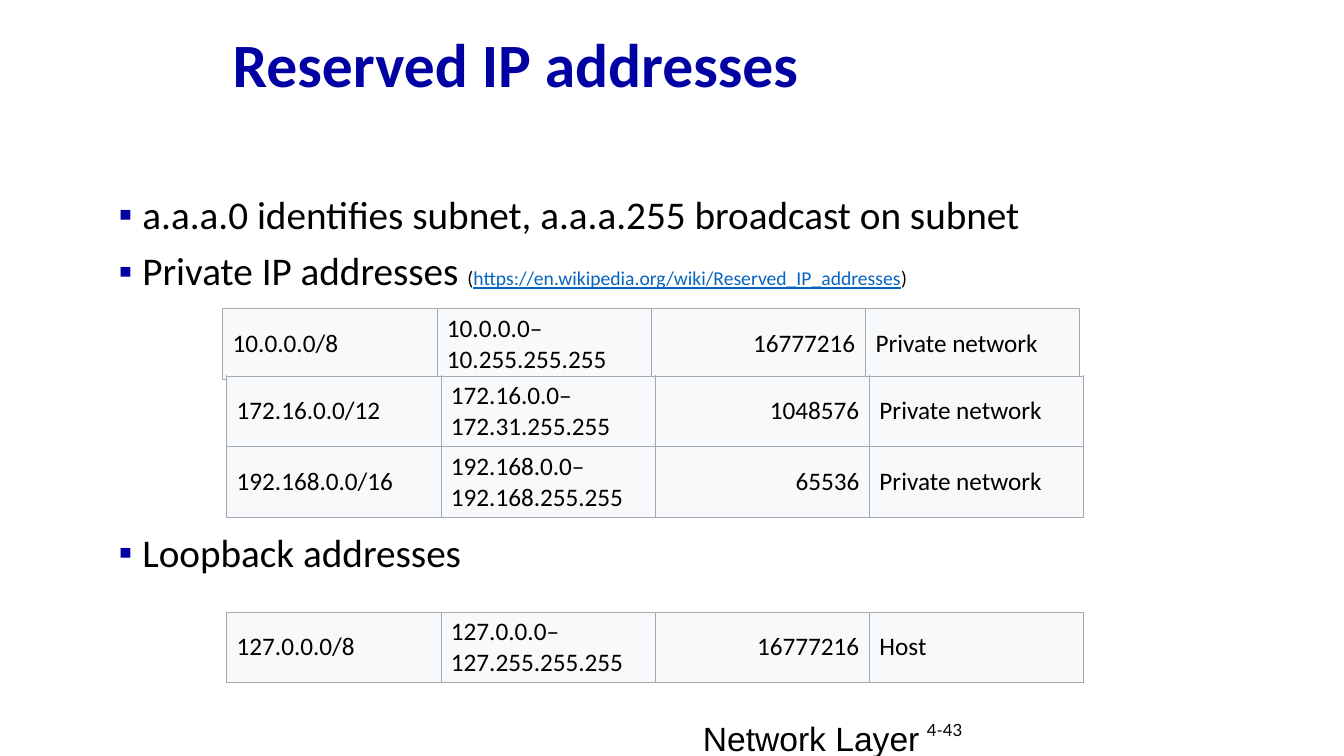
import pptx
import pptx.dml.color
import pptx.enum.text
import pptx.oxml
import pptx.oxml.ns
import pptx.util
from pptx.util import Cm

RGBColor = pptx.dml.color.RGBColor
NAVY = RGBColor(0x00, 0x00, 0xA3)
BLACK = RGBColor(0x00, 0x00, 0x00)
LINK_BLUE = RGBColor(0x05, 0x63, 0xC1)
CELL_GREY = RGBColor(0xF8, 0xF9, 0xFA)
BORDER_GREY = RGBColor(0xA2, 0xA9, 0xB1)

ALIGN = pptx.enum.text.PP_ALIGN
ANCHOR = pptx.enum.text.MSO_ANCHOR
TITLE_ONLY = 5
COLUMN_WIDTH = Cm(5.4)
ROW_HEIGHT = Cm(1.78)

# left and top in centimetres, then the cells of the row
ADDRESS_ROWS = [
    (5.61, 7.77, ("10.0.0.0/8", "10.0.0.0–10.255.255.255", "16777216", "Private network")),
    (5.71, 9.47, ("172.16.0.0/12", "172.16.0.0–172.31.255.255", "1048576", "Private network")),
    (5.71, 11.25, ("192.168.0.0/16", "192.168.0.0–192.168.255.255", "65536", "Private network")),
    (5.71, 15.42, ("127.0.0.0/8", "127.0.0.0–127.255.255.255", "16777216", "Host")),
]


def write_text(paragraph, text, size=18, font="Calibri", color=BLACK,
               bold=False, underline=False, align=ALIGN.LEFT):
    """Add one formatted run to the paragraph."""
    paragraph.alignment = align
    run = paragraph.add_run()
    run.text = text
    run.font.name = font
    run.font.size = pptx.util.Pt(size)
    run.font.bold = bold
    run.font.underline = underline
    run.font.color.rgb = color


def parse_drawing_xml(tag, content):
    namespace = pptx.oxml.ns.nsdecls("a")
    return pptx.oxml.parse_xml(f"<a:{tag} {namespace}>{content}</a:{tag}>")


def add_text_frame(slide, left, top, width, height):
    box = slide.shapes.add_textbox(Cm(left), Cm(top), Cm(width), Cm(height))
    box.text_frame.word_wrap = True
    return box.text_frame


def format_bullet(paragraph, space_before):
    properties = paragraph._p.get_or_add_pPr()
    properties.set("marL", str(Cm(1)))
    properties.set("indent", str(-Cm(0.6)))
    bullet = parse_drawing_xml(
        "pPr",
        f'<a:buClr><a:srgbClr val="{NAVY}"/></a:buClr>'
        '<a:buFont typeface="Arial"/><a:buChar char="▪"/>')
    properties.extend(list(bullet))
    paragraph.line_spacing = 0.9
    paragraph.space_before = pptx.util.Pt(space_before)


def set_title(slide, text):
    title = slide.shapes.title
    title.left, title.top = Cm(5.61), Cm(0.53)
    title.width, title.height = Cm(21.59), Cm(2.36)
    title.text_frame.vertical_anchor = ANCHOR.MIDDLE
    paragraph = title.text_frame.paragraphs[0]
    paragraph.line_spacing = 0.9
    write_text(paragraph, text, size=44, color=NAVY, bold=True)


def add_bullets(slide):
    frame = add_text_frame(slide, 2.34, 4.8, 29.21, 12.09)
    subnet = frame.paragraphs[0]
    private = frame.add_paragraph()
    loopback = frame.add_paragraph()
    # The large gap leaves room for the private network tables.
    for paragraph, gap in ((subnet, 0), (private, 10), (loopback, 171)):
        format_bullet(paragraph, gap)
    write_text(subnet, "a.a.a.0 identifies subnet, a.a.a.255 broadcast on subnet", size=28)
    write_text(private, "Private IP addresses ", size=28)
    write_text(private, "(", size=14)
    write_text(private, "https://en.wikipedia.org/wiki/Reserved_IP_addresses",
               size=14, color=LINK_BLUE, underline=True)
    write_text(private, ")", size=14)
    write_text(loopback, "Loopback addresses", size=28)


def format_cell(cell):
    properties = cell._tc.get_or_add_tcPr()
    for side in ("lnL", "lnR", "lnT", "lnB"):
        border = parse_drawing_xml(
            side, f'<a:solidFill><a:srgbClr val="{BORDER_GREY}"/></a:solidFill>')
        border.set("w", str(pptx.util.Pt(0.5)))
        properties.append(border)
    cell.fill.solid()
    cell.fill.fore_color.rgb = CELL_GREY
    cell.vertical_anchor = ANCHOR.MIDDLE


def add_address_table(slide, left, top, values):
    table = slide.shapes.add_table(
        1, len(values), Cm(left), Cm(top), COLUMN_WIDTH * len(values), ROW_HEIGHT).table
    table.first_row = False
    table.horz_banding = False
    for column, cell, value in zip(table.columns, table.iter_cells(), values):
        column.width = COLUMN_WIDTH
        format_cell(cell)
        align = ALIGN.RIGHT if value.isdigit() else ALIGN.LEFT
        write_text(cell.text_frame.paragraphs[0], value, align=align)


def add_footer(slide):
    chapter = add_text_frame(slide, 15.37, 17.96, 8.05, 0.79)
    write_text(chapter.paragraphs[0], "Network Layer", size=24, font="Arial",
               align=ALIGN.RIGHT)
    number = add_text_frame(slide, 23.11, 18.01, 1.88, 0.76)
    write_text(number.paragraphs[0], "4-43", size=12, font="Lato")


def main():
    presentation = pptx.Presentation()
    presentation.slide_width = Cm(33.87)
    presentation.slide_height = Cm(19.05)
    slide = presentation.slides.add_slide(presentation.slide_layouts[TITLE_ONLY])
    set_title(slide, "Reserved IP addresses")
    add_footer(slide)
    add_bullets(slide)
    for left, top, values in ADDRESS_ROWS:
        add_address_table(slide, left, top, values)
    presentation.save("out.pptx")


if __name__ == "__main__":
    main()
